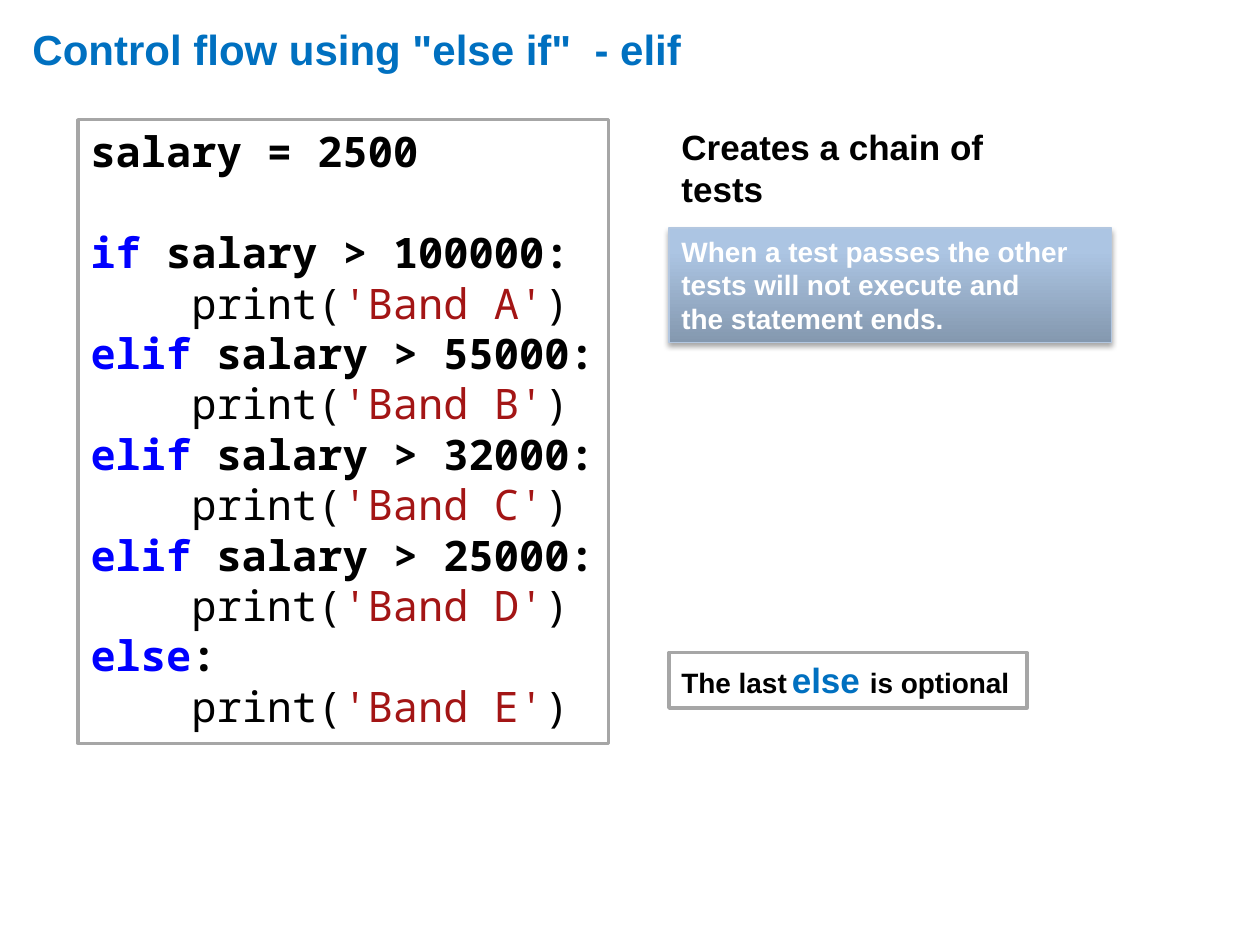
from lxml import etree
from pptx import Presentation
from pptx import util as u
from pptx.dml.color import RGBColor
from pptx.enum import shapes, text
from pptx.oxml.ns import qn

CELL = u.Inches(0.1)
BLUE = RGBColor(0x00, 0x70, 0xC0)
KEYWORD = RGBColor(0x00, 0x00, 0xFF)
STRING = RGBColor(0xA3, 0x15, 0x15)
BLACK = RGBColor(0x00, 0x00, 0x00)
WHITE = RGBColor(0xFF, 0xFF, 0xFF)
GREY = RGBColor(0xA6, 0xA6, 0xA6)
NOTE_DARK = RGBColor(0x84, 0x98, 0xAF)
NOTE_LIGHT = RGBColor(0xAC, 0xC5, 0xE3)
NOTE_EDGE = RGBColor(0xB3, 0xC7, 0xE0)
SANS, MONO = "Arial", "Noto Sans Mono"
CODE_SIZE, CODE_LINE = 24, 28.8
BRANCHES = [("if", " salary > 100000:", "A"), ("elif", " salary > 55000:", "B"),
            ("elif", " salary > 32000:", "C"), ("elif", " salary > 25000:", "D"),
            ("else", ":", "E")]


def in_cells(box):
    """Turn a box in grid columns and rows into slide lengths."""
    return [round(cells * CELL) for cells in box]


def style(run, size, color, bold=True, name=SANS):
    """Set the font of one run."""
    run.font.name, run.font.size, run.font.bold = name, u.Pt(size), bold
    run.font.color.rgb = color


def add_runs(paragraph, pieces):
    """Append runs given as (text, font settings) pairs."""
    for wording, *settings in pieces:
        run = paragraph.add_run()
        run.text = wording
        style(run, *settings)


def add_panel(slide, box, border=None, width=2, wrap=True):
    """Add a white, left-aligned rectangle that grows with its text."""
    panel = slide.shapes.add_shape(shapes.MSO_SHAPE.RECTANGLE, *in_cells(box))
    panel.shadow.inherit = False
    panel.fill.solid()
    panel.fill.fore_color.rgb = WHITE
    if border is None:
        panel.line.fill.background()
    else:
        panel.line.color.rgb = border
        panel.line.width = u.Pt(width)
    frame = panel.text_frame
    frame.word_wrap = wrap
    frame.auto_size = text.MSO_AUTO_SIZE.SHAPE_TO_FIT_TEXT
    frame.vertical_anchor = text.MSO_ANCHOR.TOP
    frame.paragraphs[0].alignment = text.PP_ALIGN.LEFT
    return panel


def add_title(slide, box):
    """Add the slide heading."""
    frame = slide.shapes.add_textbox(*in_cells(box)).text_frame
    frame.word_wrap = True
    frame.vertical_anchor = text.MSO_ANCHOR.MIDDLE
    add_runs(frame.paragraphs[0], [('Control flow using "else if"  - elif', 24, BLUE)])


def add_code(slide, box):
    """Add the salary band listing with coloured syntax."""
    frame = add_panel(slide, box, GREY).text_frame
    add_runs(frame.paragraphs[0], [("salary = 2500", CODE_SIZE, BLACK, True, MONO)])
    for index, (keyword, condition, band) in enumerate(BRANCHES):
        test, action = frame.add_paragraph(), frame.add_paragraph()
        test.alignment = action.alignment = text.PP_ALIGN.LEFT
        if index == 0:
            test.space_before = u.Pt(CODE_LINE)
        add_runs(test, [(keyword, CODE_SIZE, KEYWORD, True, MONO),
                        (condition, CODE_SIZE, BLACK, True, MONO)])
        add_runs(action, [("    print(", CODE_SIZE, BLACK, False, MONO),
                          (f"'Band {band}'", CODE_SIZE, STRING, False, MONO),
                          (")", CODE_SIZE, BLACK, False, MONO)])


def add_shadow(shape):
    """Give a shape a soft shadow below it."""
    effects = shape._element.spPr.find(qn("a:effectLst"))
    shadow = etree.SubElement(effects, qn("a:outerShdw"), blurRad=str(u.Pt(3.1)),
                              dist=str(u.Pt(1.8)), dir="5400000", rotWithShape="0")
    color = etree.SubElement(shadow, qn("a:srgbClr"), val=str(BLACK))
    etree.SubElement(color, qn("a:alpha"), val="35000")


def add_note(slide, box):
    """Add the shaded note on how the chain ends."""
    note = add_panel(slide, box, NOTE_EDGE, 0.75)
    note.fill.gradient()
    note.fill.gradient_angle = 90
    for stop, position, color in zip(note.fill.gradient_stops, (0, 0.8),
                                     (NOTE_DARK, NOTE_LIGHT)):
        stop.position = position
        stop.color.rgb = color
    add_shadow(note)
    paragraph = note.text_frame.paragraphs[0]
    paragraph.text = ("When a test passes the other \vtests will not execute and"
                      "\vthe statement ends.")
    for run in paragraph.runs:
        style(run, 16, WHITE)


def add_label(slide, box, pieces, border=None, wrap=True):
    """Add a short statement in a box."""
    panel = add_panel(slide, box, border, wrap=wrap)
    add_runs(panel.text_frame.paragraphs[0], pieces)


def main():
    """Build and save the slide."""
    presentation = Presentation()
    presentation.slide_width, presentation.slide_height = 100 * CELL, 75 * CELL
    slide = presentation.slides.add_slide(presentation.slide_layouts[6])
    top, right = 9.5, 53.1
    add_title(slide, (1.6, 1.1, 97.7, 5.5))
    add_code(slide, (6.2, top, 42.1, 49.5))
    add_note(slide, (right, 18.1, 35.1, 9.1))
    add_label(slide, (right, top, 28.8, 4.4), [("Creates a chain of tests", 20, BLACK)])
    add_label(slide, (right, 51.8, 28.4, 4.4),
              [("The last", 16, BLACK), (" ", 10, BLACK), ("else ", 20, BLUE),
               ("is optional", 16, BLACK)], GREY, wrap=False)
    presentation.save("out.pptx")


if __name__ == "__main__":
    main()
